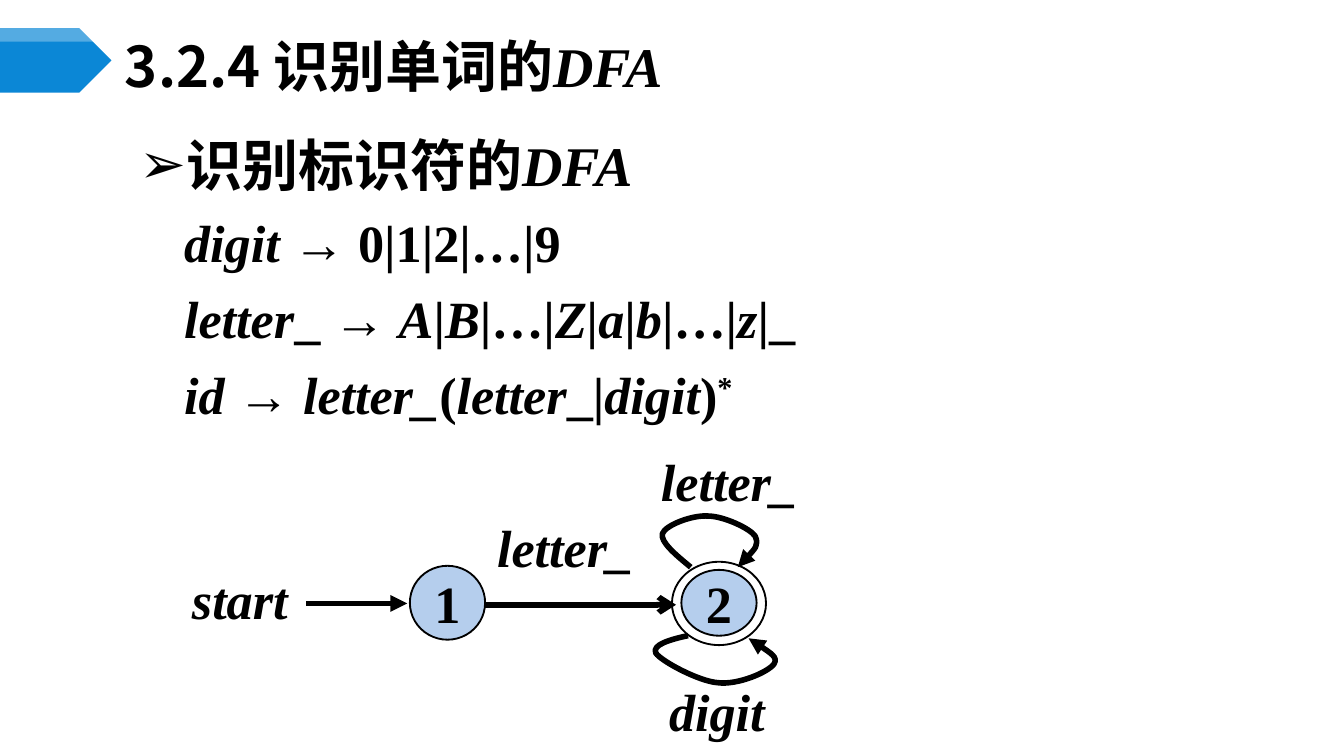
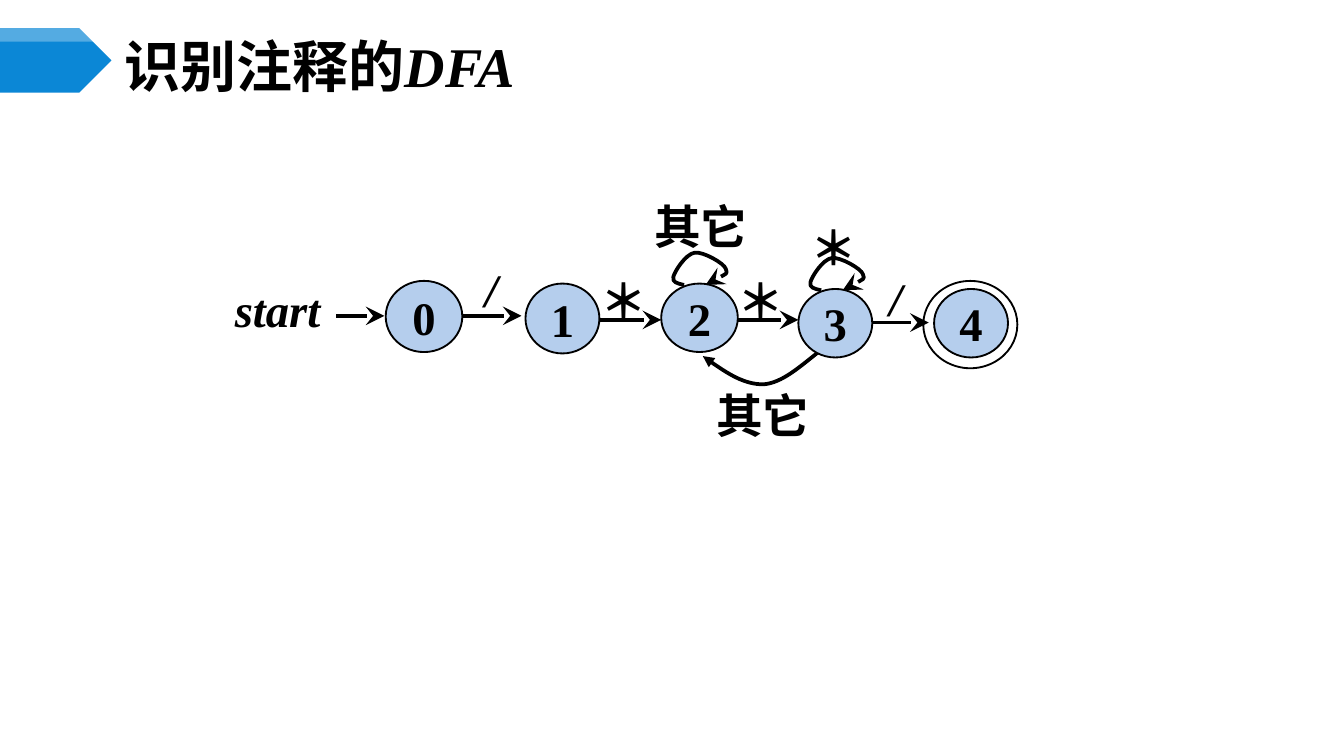
import dataclasses

import pptx
import pptx.dml.color
import pptx.enum.shapes
import pptx.enum.text
import pptx.oxml.ns
import pptx.util
from lxml import etree

PX = 9144  # EMU per px, 100 px to the inch


@dataclasses.dataclass(frozen=True)
class Theme:
    black: str = "000000"
    white: str = "FFFFFF"
    band: str = "0B87D6"
    state: str = "B5CEED"
    serif: str = "Times New Roman"
    sans: str = "Noto Sans CJK SC"
    heading: int = 30
    grammar: int = 28


T = Theme()
qn = pptx.oxml.ns.qn
rgb = pptx.dml.color.RGBColor.from_string
OVAL = pptx.enum.shapes.MSO_SHAPE.OVAL
STRAIGHT = pptx.enum.shapes.MSO_CONNECTOR.STRAIGHT
MIDDLE = pptx.enum.text.MSO_ANCHOR.MIDDLE
NO_FIT = pptx.enum.text.MSO_AUTO_SIZE.NONE
LEFT, CENTER = pptx.enum.text.PP_ALIGN.LEFT, pptx.enum.text.PP_ALIGN.CENTER


def add_run(p, text, size, italic=False, font=T.serif):
    r = p.add_run()
    r.text = text
    r.font.name, r.font.size = font, pptx.util.Pt(size)
    r.font.bold, r.font.italic = True, italic
    r.font.color.rgb = rgb(T.black)
    if max(text) >= "一":
        etree.SubElement(r.font._element, qn("a:ea"), typeface=T.sans)
    return r


def draw_line(sp, width, head=None):
    """Give the shape a plain black line, without shadow, and an arrowhead at its end."""
    sp.line.color.rgb = rgb(T.black)
    sp.line.width = pptx.util.Pt(width)
    if head:
        size = "lg" if head == "stealth" else "med"
        etree.SubElement(sp.line._get_or_add_ln(), qn("a:tailEnd"), type=head, w=size, len=size)
    etree.SubElement(sp._element.spPr, qn("a:effectLst"))


BAND = [
    ([(0, 21), (59, 21), (83, 45), (59, 69), (0, 69)], T.band, None),
    ([(0, 21), (78, 21), (83, 26), (78, 31), (0, 31)], T.white, 30000),
]

# Each grammar line alternates italic and upright runs.
GRAMMAR = [
    ["digit ", "→ 0|1|2|…|9"],
    ["letter", "_ → ", "A", "|", "B", "|…|", "Z|a", "|", "b", "|…|", "z", "|_"],
    ["id", " → ", "letter_", "(", "letter", "_|", "digit", ")"],
]

# A self-loop over a state, as a start point and Bézier points relative to the state.
LOOP = [(17, 1), (12, 0), (8, -1), (9, -5), (10, -9), (18, -22), (25, -23),
        (31, -24), (47, -15), (48, -11), (50, -7), (41, -3), (33, 1)]

DIAGRAMS = [
    dict(
        title="3.2.4 识别单词的", layout=1, size=28, line=3, start_align=LEFT,
        states=[("1", 305, 421, 56, 55), ("2", 507, 424, 56, 49)],
        accepting=(500, 418, 70, 62),
        labels=[("letter_", 360, 378, 121, 57), ("letter_", 482, 329, 140, 57),
                ("start", 133, 417, 92, 57), ("digit", 488, 500, 243, 57)],
        arrows=[(228, 303, 449, "triangle"), (361, 503, 450, "arrow")],
        curves=[
            ("triangle", [(514, 422), (503, 413), (491, 403), (493, 397), (495, 391),
                          (515, 383), (527, 384), (538, 384), (558, 393), (562, 399),
                          (565, 406), (557, 414), (549, 422)]),
            ("triangle", [(512, 473), (498, 476), (485, 480), (488, 486), (492, 492),
                          (520, 507), (534, 508), (549, 510), (572, 500), (576, 494),
                          (579, 489), (568, 482), (557, 475)]),
        ],
    ),
    dict(
        title="识别注释的", layout=5, size=25, line=2, start_align=CENTER,
        states=[("0", 287, 209, 57, 53), ("1", 391, 211, 55, 52), ("2", 492, 211, 57, 51),
                ("3", 594, 215, 55, 51), ("4", 695, 215, 55, 51)],
        accepting=(687, 209, 70, 65),
        labels=[("start", 179, 218, 55, 24), ("/", 351, 203, 55, 24), ("＊", 437, 211, 55, 24),
                ("其它", 477, 156, 55, 24), ("＊", 539, 211, 55, 24), ("＊", 593, 172, 55, 24),
                ("/", 652, 211, 44, 21), ("其它", 523, 297, 55, 24)],
        arrows=[(250, 286, 235, "stealth"), (344, 388, 235, "stealth"), (445, 492, 238, "stealth"),
                (547, 594, 238, "stealth"), (648, 691, 240, "stealth")],
        curves=[("stealth", [(x + dx, y + dy) for dx, dy in LOOP])
                for x, y in [(492, 211), (594, 215)]]
        + [("triangle", [(609, 262), (595, 273), (582, 285), (568, 286),
                         (554, 286), (538, 276), (523, 265)])],
    ),
]

prs = pptx.Presentation()
prs.slide_width = 1000 * PX
prs.slide_height = prs.slide_width * 9 // 16

for d in DIAGRAMS:
    slide = prs.slides.add_slide(prs.slide_layouts[d["layout"]])
    shapes = slide.shapes

    # Title and band
    sp = shapes.title
    sp.left, sp.top, sp.width, sp.height = 83 * PX, 29 * PX, 867 * PX, 39 * PX
    tf = sp.text_frame
    tf.vertical_anchor, tf.auto_size = MIDDLE, NO_FIT
    p = tf.paragraphs[0]
    p.alignment = LEFT
    add_run(p, d["title"], T.heading, font=T.sans)
    add_run(p, "DFA", T.heading, italic=True)

    for points, color, alpha in BAND:
        fb = shapes.build_freeform(*points[0], scale=PX)
        fb.add_line_segments(points[1:])
        sp = fb.convert_to_shape()
        sp.shadow.inherit = False
        sp.line.fill.background()
        sp.fill.solid()
        sp.fill.fore_color.rgb = rgb(color)
        if alpha:
            clr = sp._element.spPr.find(".//" + qn("a:srgbClr"))
            etree.SubElement(clr, qn("a:alpha"), val=str(alpha))

    # Transitions
    for x1, x2, y, head in d["arrows"]:
        draw_line(shapes.add_connector(STRAIGHT, x1 * PX, y * PX, x2 * PX, y * PX), d["line"], head)

    for head, points in d["curves"]:
        fb = shapes.build_freeform(*points[0], scale=PX)
        fb.add_line_segments(points[1:], close=False)
        sp = fb.convert_to_shape()
        sp.fill.background()
        draw_line(sp, d["line"], head)
        # Every three points become one Bézier segment
        segments = sp._element.findall(".//" + qn("a:lnTo"))
        for i in range(0, len(segments), 3):
            bezier = etree.Element(qn("a:cubicBezTo"))
            segments[i].addprevious(bezier)
            for segment in segments[i:i + 3]:
                bezier.append(segment[0])
                segment.getparent().remove(segment)

    # States
    for name, *box in d["states"]:
        sp = shapes.add_shape(OVAL, *(v * PX for v in box))
        sp.fill.solid()
        sp.fill.fore_color.rgb = rgb(T.state)
        draw_line(sp, 1)
        tf = sp.text_frame
        tf.word_wrap, tf.vertical_anchor = False, MIDDLE
        p = tf.paragraphs[0]
        p.alignment = CENTER
        add_run(p, name, d["size"])

    sp = shapes.add_shape(OVAL, *(v * PX for v in d["accepting"]))
    sp.fill.background()
    draw_line(sp, 1)

    # Labels
    for text, *box in d["labels"]:
        tf = shapes.add_textbox(*(v * PX for v in box)).text_frame
        tf.word_wrap, tf.auto_size, tf.vertical_anchor = False, NO_FIT, MIDDLE
        p = tf.paragraphs[0]
        p.alignment = d["start_align"] if text == "start" else LEFT
        latin = text.isascii()
        add_run(p, text, d["size"], italic=latin, font=T.serif if latin else T.sans)

# Grammar list on the first slide
sp = prs.slides[0].placeholders[1]
sp.left, sp.top, sp.width, sp.height = 94 * PX, 92 * PX, 648 * PX, 353 * PX
tf = sp.text_frame
tf.auto_size = NO_FIT
p = tf.paragraphs[0]
p.space_before = pptx.util.Pt(7.5)
pPr = p._p.get_or_add_pPr()
pPr.set("marL", str(30 * PX))
pPr.set("indent", str(-30 * PX))
etree.SubElement(etree.SubElement(pPr, qn("a:buClr")), qn("a:srgbClr"), val=T.black)
etree.SubElement(pPr, qn("a:buChar"), char="➢")
add_run(p, "识别标识符的", T.heading)
add_run(p, "DFA", T.heading, italic=True)

for rule in GRAMMAR:
    p = tf.add_paragraph()
    p.level = 1
    p.space_before = pptx.util.Pt(7)
    pPr = p._p.get_or_add_pPr()
    pPr.set("marL", str(33 * PX))
    pPr.set("indent", "0")
    etree.SubElement(pPr, qn("a:buNone"))
    for i, text in enumerate(rule):
        add_run(p, text, T.grammar, italic=i % 2 == 0)
r = add_run(p, "*", T.grammar)
r.font._element.set("baseline", "30000")

prs.save("out.pptx")
